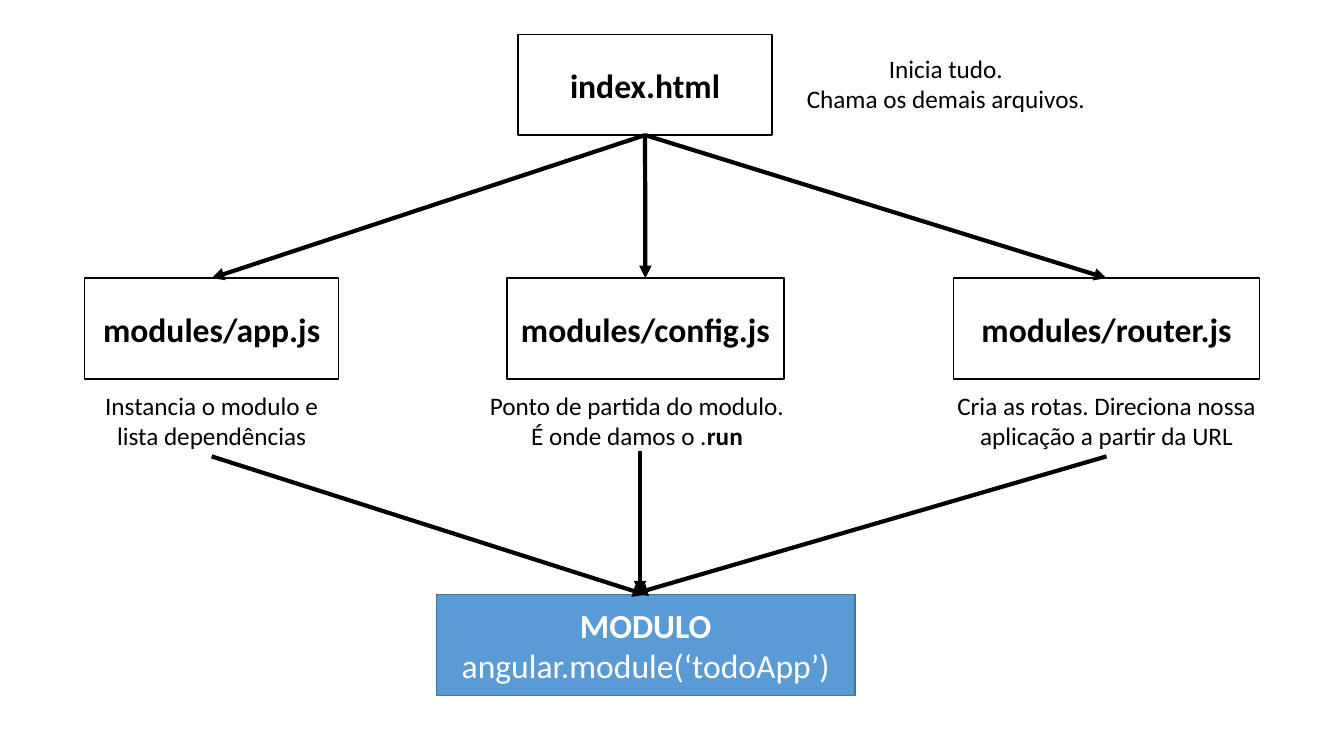
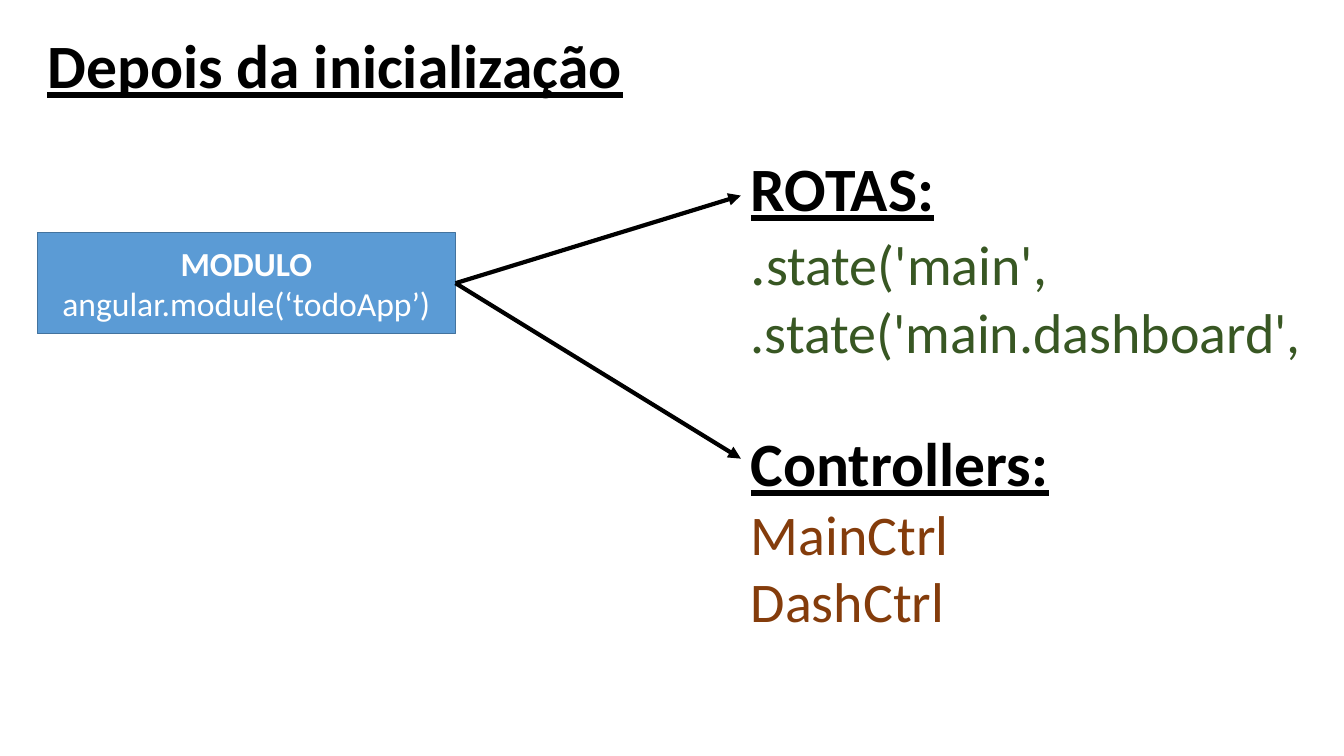
from lxml import etree
from pptx import Presentation
from pptx import util as u
from pptx.dml.color import RGBColor
from pptx.enum import shapes, text
from pptx.oxml import ns

BLACK = RGBColor(0x00, 0x00, 0x00)
WHITE = RGBColor(0xFF, 0xFF, 0xFF)
BLUE = RGBColor(0x5B, 0x9B, 0xD5)
STEEL = RGBColor(0x43, 0x73, 0x9E)
GREEN = RGBColor(0x38, 0x57, 0x23)
BROWN = RGBColor(0x84, 0x3C, 0x0B)

TITLE_ONLY, BLANK = 5, 6
TOP, BOTTOM, RIGHT = 0, 2, 3
CENTER, LEFT = text.PP_ALIGN.CENTER, text.PP_ALIGN.LEFT
LABEL = {"size": u.Pt(24), "bold": True}
NOTE = {"size": u.Pt(18)}
HEADING = {"size": u.Pt(44), "bold": True, "underline": True}
CODE = {"size": u.Pt(40)}


class DeckBuilder:
    """Holds the shared style and the slide being built."""

    def __init__(self):
        self.deck = Presentation()
        self.deck.slide_width, self.deck.slide_height = u.Pt(960), u.Pt(540)
        self.page = None

    def new_page(self, layout):
        self.page = self.deck.slides.add_slide(self.deck.slide_layouts[layout])

    def set_lines(self, frame, lines, color=BLACK, align=LEFT):
        for number, spans in enumerate(lines):
            para = frame.add_paragraph() if number else frame.paragraphs[0]
            para.alignment = align
            for words, style in spans:
                span = para.add_run()
                span.text = words
                span.font.color.rgb = style.get("color", color)
                for key, value in {"name": "Calibri", **style}.items():
                    if key != "color":
                        setattr(span.font, key, value)

    def title(self, words, left, top, width, height):
        box = self.page.shapes.title
        place = {"left": left, "top": top, "width": width, "height": height}
        for key, value in place.items():
            setattr(box, key, u.Pt(value))
        box.text_frame.vertical_anchor = text.MSO_ANCHOR.TOP
        box.text_frame.auto_size = text.MSO_AUTO_SIZE.NONE
        self.set_lines(box.text_frame, [[(words, HEADING)]])

    def box(self, lines, left, top, width, fill=WHITE, line=BLACK, color=BLACK):
        box = self.page.shapes.add_shape(
            shapes.MSO_SHAPE.RECTANGLE, *map(u.Pt, (left, top, width, 72)))
        box.shadow.inherit = False
        box.fill.solid()
        box.fill.fore_color.rgb = fill
        box.line.color.rgb = line
        box.line.width = u.Pt(1)
        box.text_frame.word_wrap = True
        box.text_frame.vertical_anchor = text.MSO_ANCHOR.MIDDLE
        self.set_lines(box.text_frame, lines, color, CENTER)
        return box

    def module(self, left, top):
        lines = [[("MODULO", LABEL)],
                 [("angular.module(‘todoApp’)", {**LABEL, "bold": False})]]
        return self.box(lines, left, top, 298.8, BLUE, STEEL, WHITE)

    def text_box(self, lines, left, top, width, height, align=LEFT, wrap=True):
        box = self.page.shapes.add_textbox(*map(u.Pt, (left, top, width, height)))
        box.text_frame.word_wrap = wrap
        box.text_frame.auto_size = text.MSO_AUTO_SIZE.SHAPE_TO_FIT_TEXT
        self.set_lines(box.text_frame, lines, align=align)

    def note(self, lines, left, top, width):
        self.text_box(lines, left, top, width, 51, CENTER, False)

    def arrow(self, start, end, source=None, target=None):
        arrow = self.page.shapes.add_connector(
            shapes.MSO_CONNECTOR.STRAIGHT, *map(u.Pt, (*start, *end)))
        if source:
            arrow.begin_connect(*source)
        if target:
            arrow.end_connect(*target)
        arrow.line.color.rgb = BLACK
        arrow.line.width = u.Pt(3)
        properties = arrow.element.spPr
        outline = properties.find(ns.qn("a:ln"))
        etree.SubElement(outline, ns.qn("a:tailEnd"), type="triangle")
        etree.SubElement(properties, ns.qn("a:effectLst"))


def startup_page(builder):
    builder.new_page(BLANK)
    index = builder.box([[("index.html", LABEL)]], 370, 24.5, 181.5)
    builder.note([[("Inicia tudo.", NOTE)],
                  [("Chama os demais arquivos.", NOTE)]], 568, 34.6, 215.3)
    files = [
        ("modules/app.js", 151.2, 181.5, 151.2, 168.5,
         [[("Instancia o modulo e", NOTE)], [("lista dependências", NOTE)]]),
        ("modules/config.js", 461, 198, 455, 227.5,
         [[("Ponto de partida do modulo.", NOTE)],
          [("É onde damos o .", NOTE), ("run", {**NOTE, "bold": True})]]),
        ("modules/router.js", 790.4, 219, 790.4, 229.7,
         [[("Cria as rotas. Direciona nossa", NOTE)],
          [("aplicação a partir da URL", NOTE)]]),
    ]
    for name, center, width, note_center, note_width, lines in files:
        box = builder.box([[(name, LABEL)]], center - width / 2, 198.7, width)
        builder.note(lines, note_center - note_width / 2, 275, note_width)
        builder.arrow((460.8, 96.5), (center, 198.7), (index, BOTTOM), (box, TOP))
    builder.module(311.8, 424.8)
    for start, end in [((151.2, 326), (461, 424.8)),
                       ((457.2, 322), (457.2, 424)),
                       ((790.4, 326), (453.6, 424))]:
        builder.arrow(start, end)


def running_page(builder):
    builder.new_page(TITLE_ONLY)
    builder.title("Depois da inicialização", 26.6, 15.8, 430, 60.5)
    module = builder.module(26.6, 166.3)
    route = {**CODE, "color": GREEN}
    control = {**CODE, "color": BROWN}
    builder.text_box([[("ROTAS:", HEADING)],
                      [(".", {**route, "size": u.Pt(44)}), ("state('main',", route)],
                      [(".state('main.dashboard',", route)]],
                     529.2, 103.7, 414.7, 162.7)
    builder.text_box([[("Controllers:", HEADING)], [("MainCtrl", control)],
                      [("DashCtrl", control)]], 529.2, 300.2, 229.7, 157)
    for height in (139.7, 327.6):
        builder.arrow((326, 202.3), (529.2, height), (module, RIGHT))


def main():
    builder = DeckBuilder()
    startup_page(builder)
    running_page(builder)
    builder.deck.save("out.pptx")


if __name__ == "__main__":
    main()
